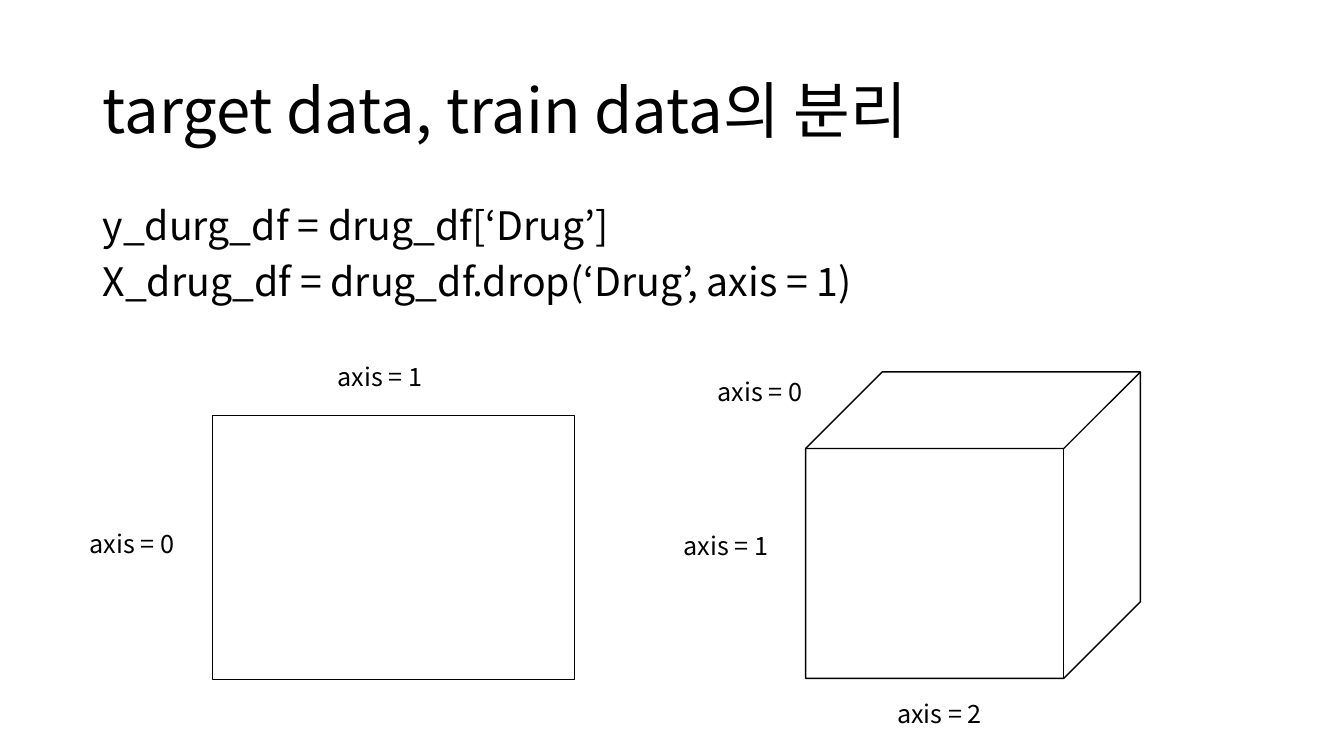
from lxml import etree
from pptx import Presentation
from pptx.dml.color import RGBColor
from pptx.enum.shapes import MSO_SHAPE
from pptx.enum.text import MSO_ANCHOR
from pptx.oxml.ns import qn
from pptx.util import Inches, Pt

FONT = "Noto Sans CJK KR"
INK = "000000"
RECTANGLE, CUBE = MSO_SHAPE.RECTANGLE, MSO_SHAPE.CUBE
TOP, MIDDLE = MSO_ANCHOR.TOP, MSO_ANCHOR.MIDDLE
TITLE = "target data, train data의 분리"
CODE_LINES = ["y_durg_df = drug_df[‘Drug’]", "X_drug_df = drug_df.drop(‘Drug’, axis = 1)"]
AXIS_LABELS = [
    ("axis = 0", 7.02, 3.68),
    ("axis = 1", 6.68, 5.21),
    ("axis = 2", 8.8, 6.88),
    ("axis = 0", 0.79, 5.19),
    ("axis = 1", 3.25, 3.54),
]


def color(hex_code):
    """Return the colour for a hex string."""
    return RGBColor.from_string(hex_code)


def style_run(run, size):
    """Set size, colour and the Latin and East Asian fonts of a run."""
    run.font.size = Pt(size)
    run.font.name = FONT
    run.font.color.rgb = color(INK)
    east_asian = etree.SubElement(run.font._element, qn("a:ea"))
    east_asian.set("typeface", FONT)


def add_text(slide, lines, left, top, width, height, size,
             anchor=TOP, line_spacing=1.0, space_before=0):
    """Add a text box with one paragraph for each line."""
    box = slide.shapes.add_textbox(Inches(left), Inches(top), Inches(width), Inches(height))
    text_frame = box.text_frame
    text_frame.word_wrap = True
    text_frame.vertical_anchor = anchor
    text_frame.text = "\n".join(lines)
    for paragraph in text_frame.paragraphs:
        paragraph.line_spacing = line_spacing
        paragraph.space_before = Pt(space_before)
        for run in paragraph.runs:
            style_run(run, size)


def add_outline(slide, kind, left, top, width, height):
    """Add an unfilled preset shape with a thin line."""
    shape = slide.shapes.add_shape(kind, Inches(left), Inches(top), Inches(width), Inches(height))
    shape.shadow.inherit = False
    shape.fill.background()
    shape.line.color.rgb = color(INK)
    shape.line.width = Pt(1)


def main():
    """Build the slide and save it."""
    presentation = Presentation()
    presentation.slide_width = Inches(13.33)
    presentation.slide_height = Inches(7.5)
    slide = presentation.slides.add_slide(presentation.slide_layouts[6])
    add_text(slide, [TITLE], 0.92, 0.4, 11.5, 1.45, 44, anchor=MIDDLE, line_spacing=0.9)
    add_text(slide, CODE_LINES, 0.92, 2, 11.5, 4.76, 28, line_spacing=0.9, space_before=10)
    add_outline(slide, CUBE, 7.99, 3.69, 3.32, 3.04)
    add_outline(slide, RECTANGLE, 2.11, 4.12, 3.59, 2.62)
    for label, left, top in AXIS_LABELS:
        add_text(slide, [label], left, top, 1.31, 0.4, 18)
    presentation.save("out.pptx")


main()
